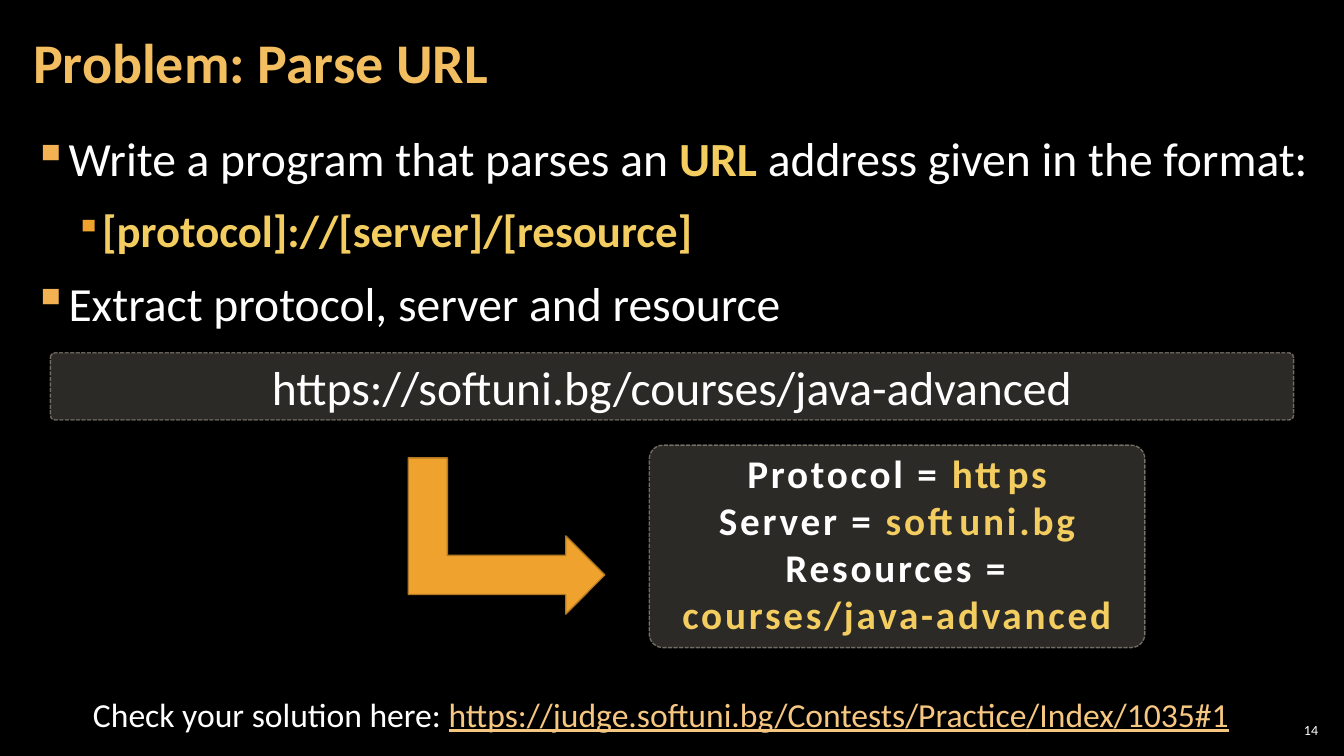
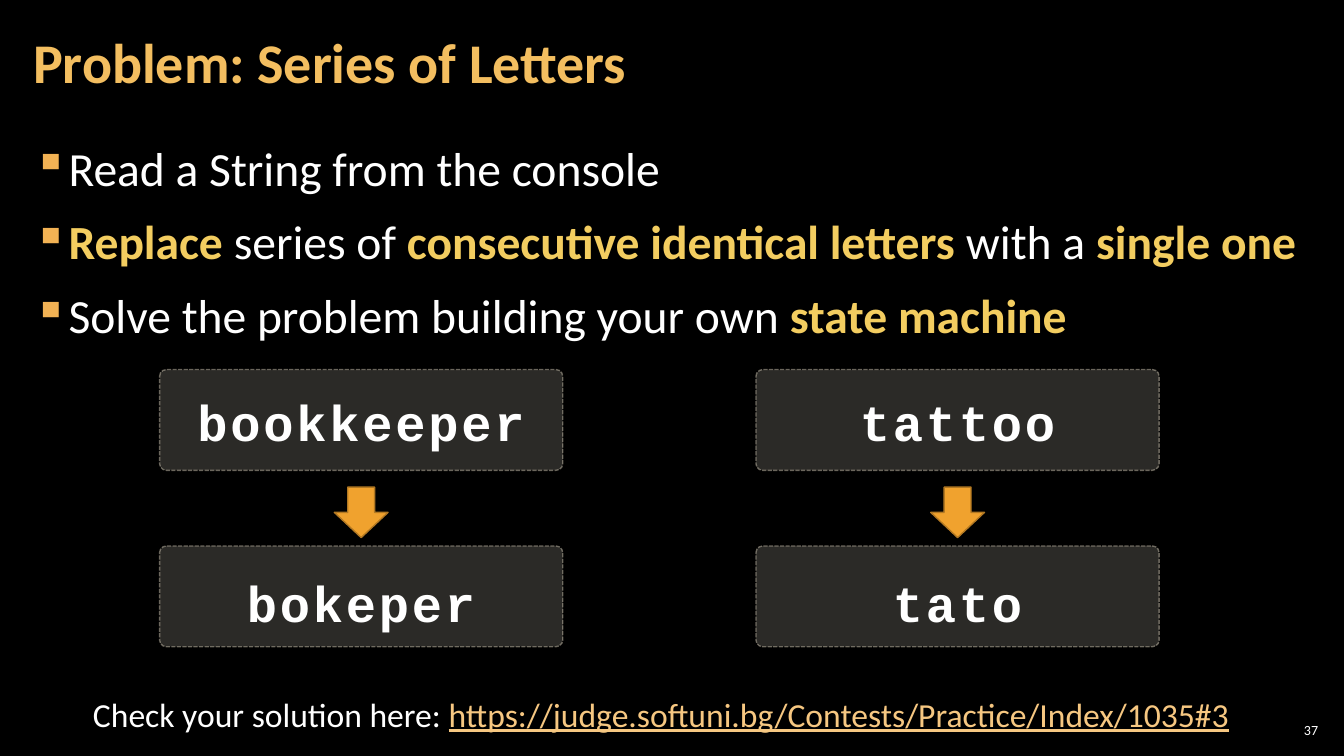
import dataclasses

import pptx
import pptx.dml.color
import pptx.enum.dml
import pptx.enum.shapes
import pptx.enum.text
import pptx.oxml.ns
import pptx.util
from lxml import etree

COLUMNS, ROWS = 160, 90
CELL = pptx.util.Inches(1 / 12)
ALIGN = pptx.enum.text.PP_ALIGN
ANCHOR = pptx.enum.text.MSO_ANCHOR
SHAPE = pptx.enum.shapes.MSO_SHAPE


@dataclasses.dataclass(frozen=True)
class Theme:
    background: str = "000000"
    text: str = "FFFFFF"
    title: str = "F3BE60"
    accent: str = "F3CD60"
    link: str = "F6C781"
    bullets: tuple = ("F2B254", "F0A22E")
    arrow: str = "F0A22E"
    arrow_line: str = "B27822"
    panel: str = "D9D5C7"
    panel_line: str = "C7BFAC"
    body_font: str = "Calibri"
    code_font: str = "Courier New"
    title_size: int = 40
    body_sizes: tuple = (34, 32)
    result_size: int = 28
    code_size: int = 36
    footer_size: int = 24
    number_size: int = 10


THEME = Theme()


def rgb(color):
    return pptx.dml.color.RGBColor.from_string(color)


def add_xml(parent, tag, **attributes):
    return etree.SubElement(parent, pptx.oxml.ns.qn(tag), attributes)


def write(para, text, size, color=THEME.text, font=THEME.body_font,
          bold=False, underline=False, spacing=0):
    """Add text to a paragraph; parts between | marks are bold and accented."""
    for index, part in enumerate(text.split("|")):
        if not part:
            continue
        marked = index % 2 == 1
        span = para.add_run()
        span.text = part
        span.font.name = font
        span.font.size = pptx.util.Pt(size)
        span.font.bold = bold or marked
        span.font.underline = underline
        span.font.color.rgb = rgb(THEME.accent if marked else color)
        if spacing:
            span.font._element.set("spc", str(spacing * 100))


def set_frame(frame, anchor=ANCHOR.TOP, sides=0.1, top=0.05, bottom=0.05):
    frame.word_wrap = True
    frame.auto_size = pptx.enum.text.MSO_AUTO_SIZE.NONE
    frame.vertical_anchor = anchor
    frame.margin_left = frame.margin_right = pptx.util.Inches(sides)
    frame.margin_top = pptx.util.Inches(top)
    frame.margin_bottom = pptx.util.Inches(bottom)


def paragraphs(frame, texts):
    """Yield a paragraph of the frame together with each text."""
    for index, text in enumerate(texts):
        yield (frame.add_paragraph() if index else frame.paragraphs[0]), text


class SlideBuilder:
    """Draws on the current page; lengths are columns and rows of the grid."""

    def __init__(self):
        self.deck = pptx.Presentation()
        self.deck.slide_width = COLUMNS * CELL
        self.deck.slide_height = ROWS * CELL
        fill = self.deck.slide_master.background.fill
        fill.solid()
        fill.fore_color.rgb = rgb(THEME.background)
        self.page = None

    def place(self, column, row, width, height):
        return [round(length * CELL) for length in (column, row, width, height)]

    def start(self, title, number, link):
        """Open a page with its title, number and solution link."""
        layout = self.deck.slide_layouts.get_by_name("Title Only")
        self.page = self.deck.slides.add_slide(layout)
        box = self.page.shapes.title
        box.left, box.top, box.width, box.height = self.place(2.5, 0.5, 125.6, 14.5)
        set_frame(box.text_frame, ANCHOR.MIDDLE, 0.12, 0.04, 0.04)
        para = box.text_frame.paragraphs[0]
        para.alignment = ALIGN.LEFT
        para.line_spacing = 0.9
        write(para, title, THEME.title_size, color=THEME.title, bold=True)

        para = self.text_box(151.8, 85.7, 5.6, 2.5, ALIGN.RIGHT,
                             anchor=ANCHOR.MIDDLE, sides=0.04, top=0.04, bottom=0.04)
        write(para, str(number), THEME.number_size)

        para = self.text_box(0, 82, 157.4, 6, ALIGN.CENTER)
        write(para, "Check your solution here: ", THEME.footer_size)
        write(para, link, THEME.footer_size, color=THEME.link, underline=True)

    def text_box(self, column, row, width, height, align=ALIGN.LEFT, **frame_format):
        """Add an empty text box and return its first paragraph."""
        box = self.page.shapes.add_textbox(*self.place(column, row, width, height))
        set_frame(box.text_frame, **frame_format)
        para = box.text_frame.paragraphs[0]
        para.alignment = align
        return para

    def bullets(self, row, height, items):
        """Add a bulleted list from pairs of level and text."""
        box = self.page.shapes.add_textbox(*self.place(2.5, row, 155, height))
        set_frame(box.text_frame, sides=0.12, top=0.04, bottom=0.04)
        for index, (para, (level, text)) in enumerate(
                paragraphs(box.text_frame, items)):
            para.level = level
            properties = para._p.get_or_add_pPr()
            margin, hanging = ((0.33, 0.33), (0.67, 0.25))[level]
            properties.set("marL", str(pptx.util.Inches(margin)))
            properties.set("indent", str(-pptx.util.Inches(hanging)))
            color = add_xml(properties, "a:buClr")
            add_xml(color, "a:srgbClr", val=THEME.bullets[level])
            add_xml(properties, "a:buSzPct", val=("100000", "80000")[level])
            add_xml(properties, "a:buChar", char="▪")
            para.space_before = pptx.util.Pt(6 if index else 0)
            para.space_after = pptx.util.Pt(6)
            write(para, text, THEME.body_sizes[level])

    def shape(self, kind, area, fill, line):
        shape = self.page.shapes.add_shape(kind, *self.place(*area))
        shape.shadow.inherit = False
        shape.fill.solid()
        shape.fill.fore_color.rgb = rgb(fill)
        shape.line.color.rgb = rgb(line)
        shape.line.width = pptx.util.Pt(1)
        return shape

    def arrow(self, kind, *area, rotation=0):
        shape = self.shape(kind, area, THEME.arrow, THEME.arrow_line)
        shape.rotation = rotation

    def panel(self, *area, lines, top, **text_format):
        """Add a translucent dashed panel with centred lines of text."""
        panel = self.shape(SHAPE.ROUNDED_RECTANGLE, area,
                           THEME.panel, THEME.panel_line)
        panel.adjustments[0] = 0.067
        panel.line.dash_style = pptx.enum.dml.MSO_LINE.SQUARE_DOT
        colors = panel.element.spPr.iter(pptx.oxml.ns.qn("a:srgbClr"))
        for color, opacity in zip(list(colors), ("20000", "50000")):
            add_xml(color, "a:alpha", val=opacity)
        set_frame(panel.text_frame, sides=0.04, top=top, bottom=0)
        for para, text in paragraphs(panel.text_frame, lines):
            para.alignment = ALIGN.CENTER
            write(para, text, **text_format)


def parse_url_page(builder):
    builder.start("Problem: Parse URL", 14,
                  "https://judge.softuni.bg/Contests/Practice/Index/1035#1")
    builder.bullets(14.9, 26, [
        (0, "Write a program that parses an |URL| address given in the format:"),
        (1, "|[protocol]://[server]/[resource]|"),
        (0, "Extract protocol, server and resource"),
    ])
    builder.panel(6, 42, 148, 8, top=0.04, size=THEME.body_sizes[0],
                  lines=["https://softuni.bg/courses/java-advanced"])
    builder.panel(77.3, 53, 59, 24.1, top=0, size=THEME.result_size,
                  bold=True, spacing=2,
                  lines=["Protocol = |https|", "Server = |softuni.bg|",
                         "Resources = |courses/java-advanced|"])
    builder.arrow(SHAPE.BENT_UP_ARROW, 51, 52.1, 18.6, 23.4, rotation=90)


def letters_page(builder):
    builder.start("Problem: Series of Letters", 37,
                  "https://judge.softuni.bg/Contests/Practice/Index/1035#3")
    builder.bullets(16, 26, [
        (0, "Read a String from the console"),
        (0, "|Replace |series of |consecutive identical letters |with a |single one|"),
        (0, "Solve the problem building your own |state machine|"),
    ])
    width, arrow_width = 48, 6.4
    for column, word, reduced in ((19, "bookkeeper", "bokeper"),
                                  (90, "tattoo", "tato")):
        for row, text, top in ((44, word, 0.19), (65, reduced, 0.24)):
            builder.panel(column, row, width, 12, lines=[text], top=top,
                          size=THEME.code_size, font=THEME.code_font,
                          bold=True, spacing=2)
        builder.arrow(SHAPE.DOWN_ARROW, column + (width - arrow_width) / 2, 58,
                      arrow_width, 6)


def main():
    builder = SlideBuilder()
    parse_url_page(builder)
    letters_page(builder)
    builder.deck.save("out.pptx")


if __name__ == "__main__":
    main()
